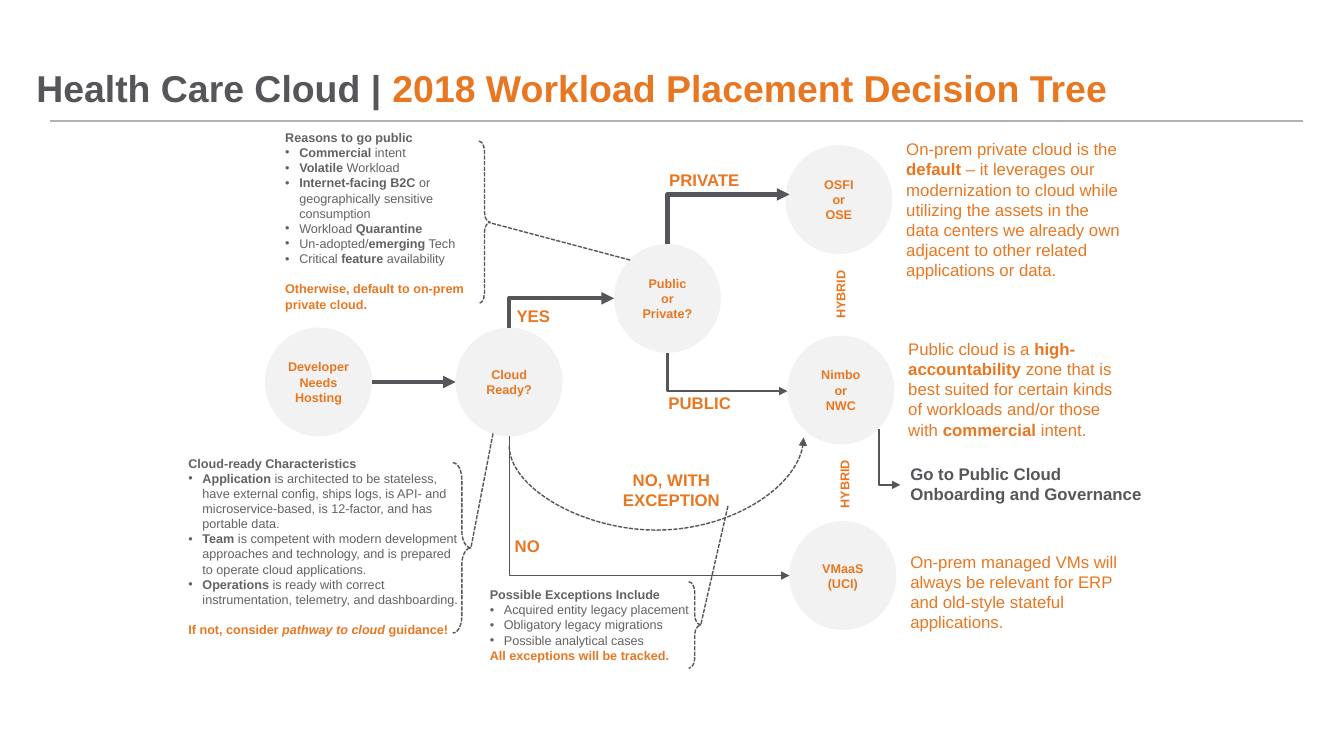
from dataclasses import dataclass
from lxml.etree import SubElement
from pptx import Presentation
from pptx.dml.color import RGBColor
from pptx.enum.dml import MSO_LINE
from pptx.enum.shapes import MSO_CONNECTOR, MSO_SHAPE
from pptx.enum.text import MSO_ANCHOR, MSO_AUTO_SIZE, PP_ALIGN
from pptx.oxml.ns import qn
from pptx.shapes.connector import Connector
from pptx.slide import Slide
from pptx.text.text import TextFrame
from pptx.util import Inches, Pt

COLORS = {"orange": "E87722", "slate": "55565A", "gray": "626262", "rule": "B1B3B3", "circle": "F2F2F2"}
CIRCLE_WIDTH, CIRCLE_HEIGHT = 1.06, 1.08


@dataclass(frozen=True)
class Span:
    text: str
    bold: bool = False
    italic: bool = False
    color: str = ""


@dataclass(frozen=True)
class Para:
    spans: tuple[Span, ...]
    bullet: bool = False
    color: str = ""
    before: float = 0


@dataclass(frozen=True)
class Block:
    left: float
    top: float
    width: float
    height: float
    paras: tuple[Para, ...]
    size: float = 12
    color: str = "orange"
    align: PP_ALIGN = PP_ALIGN.LEFT
    anchor: MSO_ANCHOR = MSO_ANCHOR.TOP
    rotation: float = 0


@dataclass(frozen=True)
class Circle:
    left: float
    top: float
    lines: tuple[str, ...]


@dataclass(frozen=True)
class Link:
    start: tuple[float, float]
    end: tuple[float, float]
    weight: float = 1
    preset: str = "line"
    dashed: bool = False
    arrow: bool = True
    color: str = "slate"
    bend: float = 0


@dataclass(frozen=True)
class Brace:
    left: float
    top: float
    width: float
    height: float


def bold(text: str, color: str = "") -> Span:
    return Span(text, bold=True, color=color)


def bullet(*spans: Span) -> Para:
    return Para(spans, bullet=True)


def label(left: float, top: float, width: float, height: float, *lines: str,
          size: float = 12, rotation: float = 0) -> Block:
    paras = tuple(Para((bold(line),)) for line in lines)
    return Block(left, top, width, height, paras, size, align=PP_ALIGN.CENTER, rotation=rotation)


def notes(left: float, top: float, width: float, height: float, *paras: Para) -> Block:
    return Block(left, top, width, height, paras, 9, "gray", anchor=MSO_ANCHOR.MIDDLE)


def prose(left: float, top: float, width: float, height: float, *spans: Span, color: str = "orange") -> Block:
    return Block(left, top, width, height, (Para(spans),), color=color)


def rgb(name: str) -> RGBColor:
    return RGBColor.from_string(COLORS[name])


def write(frame: TextFrame, paras: tuple[Para, ...], size: float, color: str, align: PP_ALIGN) -> None:
    for index, para in enumerate(paras):
        paragraph = frame.add_paragraph() if index else frame.paragraphs[0]
        paragraph.alignment = align
        if para.before:
            paragraph.space_before = Pt(para.before)
        if para.bullet:
            properties = paragraph._p.get_or_add_pPr()
            properties.set("marL", str(Inches(0.14)))
            properties.set("indent", str(-Inches(0.14)))
            SubElement(properties, qn("a:buFont"), typeface="Arial")
            SubElement(properties, qn("a:buChar"), char="•")
        for span in para.spans:
            run = paragraph.add_run()
            run.text = span.text
            run.font.name = "Arial"
            run.font.size = Pt(size)
            run.font.bold = span.bold
            run.font.italic = span.italic
            run.font.color.rgb = rgb(span.color or para.color or color)


def draw_block(page: Slide, block: Block) -> TextFrame:
    box = page.shapes.add_textbox(*map(Inches, (block.left, block.top, block.width, block.height)))
    box.rotation = block.rotation
    frame = box.text_frame
    frame.word_wrap = True
    frame.auto_size = MSO_AUTO_SIZE.SHAPE_TO_FIT_TEXT
    frame.vertical_anchor = block.anchor
    write(frame, block.paras, block.size, block.color, block.align)
    return frame


def draw_title(page: Slide) -> None:
    spans = (bold("Health Care Cloud | "), bold("2018 Workload Placement Decision Tree", "orange"))
    title = Block(0.36, 0.62, 11.89, 0.48, (Para(spans),), 26.7, "slate", anchor=MSO_ANCHOR.BOTTOM)
    frame = draw_block(page, title)
    frame.auto_size = MSO_AUTO_SIZE.NONE
    frame.margin_left = frame.margin_right = frame.margin_top = frame.margin_bottom = 0
    frame.paragraphs[0].line_spacing = 0.9


def draw_circle(page: Slide, circle: Circle) -> None:
    size = Inches(CIRCLE_WIDTH), Inches(CIRCLE_HEIGHT)
    shape = page.shapes.add_shape(MSO_SHAPE.OVAL, Inches(circle.left), Inches(circle.top), *size)
    shape.shadow.inherit = False
    shape.fill.solid()
    shape.fill.fore_color.rgb = rgb("circle")
    shape.line.fill.background()
    shape.text_frame.word_wrap = False
    shape.text_frame.vertical_anchor = MSO_ANCHOR.MIDDLE
    paras = tuple(Para((bold(line),)) for line in circle.lines)
    write(shape.text_frame, paras, 9, "orange", PP_ALIGN.CENTER)


def add_turning(page: Slide, link: Link) -> Connector:
    (x1, y1), (x2, y2) = link.start, link.end
    width, height = abs(y2 - y1), abs(x2 - x1)
    left, top = (x1 + x2 - width) / 2, (y1 + y2 - height) / 2
    corners = map(Inches, (left, top, left + width, top + height))
    connector = page.shapes.add_connector(MSO_CONNECTOR.ELBOW, *corners)
    properties = connector._element.spPr
    transform = properties.find(qn("a:xfrm"))
    transform.set("flipH", "1")
    transform.set("rot", str((270 if y2 > y1 else 90) * 60000))
    if y2 < y1:
        transform.set("flipV", "1")
    geometry = properties.find(qn("a:prstGeom"))
    geometry.set("prst", link.preset)
    if link.bend:
        SubElement(geometry.find(qn("a:avLst")), qn("a:gd"), name="adj1", fmla=f"val {round(link.bend * 100000)}")
    return connector


def draw_link(page: Slide, link: Link) -> None:
    if link.preset == "line":
        connector = page.shapes.add_connector(MSO_CONNECTOR.STRAIGHT, *map(Inches, link.start + link.end))
    else:
        connector = add_turning(page, link)
    connector.line.color.rgb = rgb(link.color)
    connector.line.width = Pt(link.weight)
    if link.dashed:
        connector.line.dash_style = MSO_LINE.SQUARE_DOT
    if link.arrow:
        SubElement(connector.line._get_or_add_ln(), qn("a:tailEnd"), type="triangle")
    SubElement(connector._element.spPr, qn("a:effectLst"))


def draw_brace(page: Slide, brace: Brace) -> None:
    bounds = map(Inches, (brace.left, brace.top, brace.width, brace.height))
    shape = page.shapes.add_shape(MSO_SHAPE.LEFT_BRACE, *bounds)
    shape.shadow.inherit = False
    shape.rotation = 180
    shape.adjustments[0] = 0.91
    shape.fill.background()
    shape.line.color.rgb = rgb("slate")
    shape.line.width = Pt(1)
    shape.line.dash_style = MSO_LINE.SQUARE_DOT


CIRCLES = (
    Circle(2.63, 3.25, ("Developer", "Needs", "Hosting")), Circle(4.52, 3.25, ("Cloud", "Ready?")),
    Circle(6.09, 2.42, ("Public", "or", "Private?")), Circle(7.79, 1.44, ("OSFI", "or", "OSE")),
    Circle(7.81, 3.33, ("Nimbo", "or", "NWC")), Circle(7.83, 5.17, ("VMaaS", "(UCI)")),
)
LINKS = (
    Link((0.5, 1.2), (12.92, 1.2), arrow=False, color="rule"),
    Link((3.69, 3.79), (4.52, 3.79), 3),
    Link((5.05, 4.33), (7.83, 5.71), 1, "bentConnector2"),
    Link((5.05, 3.25), (6.09, 2.96), 3, "bentConnector2"),
    Link((6.62, 2.42), (7.83, 1.93), 3, "bentConnector2"),
    Link((6.62, 3.5), (7.81, 3.88), 1.5, "bentConnector2"),
    Link((8.72, 4.26), (8.93, 4.81), 1.5, "bentConnector2"),
    Link((5.05, 4.42), (7.97, 4.34), 1, "curvedConnector3", dashed=True, bend=-10.5),
    Link((4.89, 4.3), (4.67, 5.44), dashed=True, arrow=False),
    Link((6.25, 2.58), (4.86, 2.21), dashed=True, arrow=False),
    Link((7.22, 5.02), (6.95, 6.2), dashed=True, arrow=False),
)
BRACES = (Brace(4.75, 1.4, 0.11, 1.61), Brace(4.49, 4.59, 0.18, 1.69), Brace(6.83, 5.77, 0.12, 0.86))
BLOCKS = (
    label(6.49, 3.85, 0.9, 0.3, "PUBLIC"), label(6.49, 1.63, 0.99, 0.3, "PRIVATE"),
    label(4.93, 5.27, 0.6, 0.3, "NO"), label(4.99, 2.98, 0.6, 0.3, "YES"),
    label(5.61, 4.61, 2.1, 0.5, "NO, WITH", "EXCEPTION"),
    label(7.84, 2.8, 0.99, 0.25, "HYBRID", size=9, rotation=270),
    label(7.88, 4.68, 0.99, 0.25, "HYBRID", size=9, rotation=270),
    notes(2.73, 1.23, 1.98, 1.92, Para((bold("Reasons to go public"),)),
          bullet(bold("Commercial "), Span("intent")), bullet(bold("Volatile"), Span(" Workload")),
          bullet(bold("Internet-facing B2C"), Span(" or geographically sensitive consumption")),
          bullet(Span("Workload "), bold("Quarantine")),
          bullet(Span("Un-adopted/"), bold("emerging"), Span(" Tech")),
          bullet(Span("Critical "), bold("feature"), Span(" availability")),
          Para((bold("Otherwise, default to on-prem private cloud."),), color="orange", before=10.8)),
    notes(1.77, 4.46, 2.94, 1.92, Para((bold("Cloud-ready Characteristics"),)),
          bullet(bold("Application"), Span(" is architected to be stateless, have external config, ships logs, "
                                           "is API- and microservice-based, is 12-factor, and has portable data.")),
          bullet(bold("Team"), Span(" is competent with modern development approaches and technology, "
                                    "and is prepared to operate cloud applications.")),
          bullet(bold("Operations"), Span(" is ready with correct instrumentation, telemetry, and dashboarding.")),
          Para((bold("If not, consider "), Span("pathway to cloud ", True, True), bold("guidance!")),
               color="orange", before=10.8)),
    notes(4.76, 5.77, 2.3, 0.86, Para((bold("Possible Exceptions Include"),)),
          bullet(Span("Acquired entity legacy placement")), bullet(Span("Obligatory legacy migrations")),
          bullet(Span("Possible analytical cases")),
          Para((bold("All exceptions will be tracked."),), color="orange")),
    prose(8.89, 1.33, 2.34, 1.51, Span("On-prem private cloud is the "), bold("default "),
          Span("– it leverages our modernization to cloud while utilizing the assets in the data centers "
               "we already own adjacent to other related applications or data.")),
    prose(8.91, 3.31, 2.34, 1.11, Span("Public cloud is a "), bold("high-accountability"),
          Span(" zone that is best suited for certain kinds of workloads and/or those with "),
          bold("commercial"), Span(" intent.")),
    prose(8.93, 4.55, 2.56, 0.5, bold("Go to Public Cloud Onboarding and Governance"), color="slate"),
    prose(8.93, 5.42, 2.34, 0.91,
          Span("On-prem managed VMs will always be relevant for ERP and old-style stateful applications.")),
)


def main() -> None:
    """Build the workload placement decision tree slide."""
    deck = Presentation()
    deck.slide_width, deck.slide_height = Inches(13.33), Inches(7.5)
    page = deck.slides.add_slide(deck.slide_layouts[6])
    draw_title(page)
    for draw, items in ((draw_circle, CIRCLES), (draw_link, LINKS), (draw_brace, BRACES), (draw_block, BLOCKS)):
        for item in items:
            draw(page, item)
    deck.save("out.pptx")


if __name__ == "__main__":
    main()
